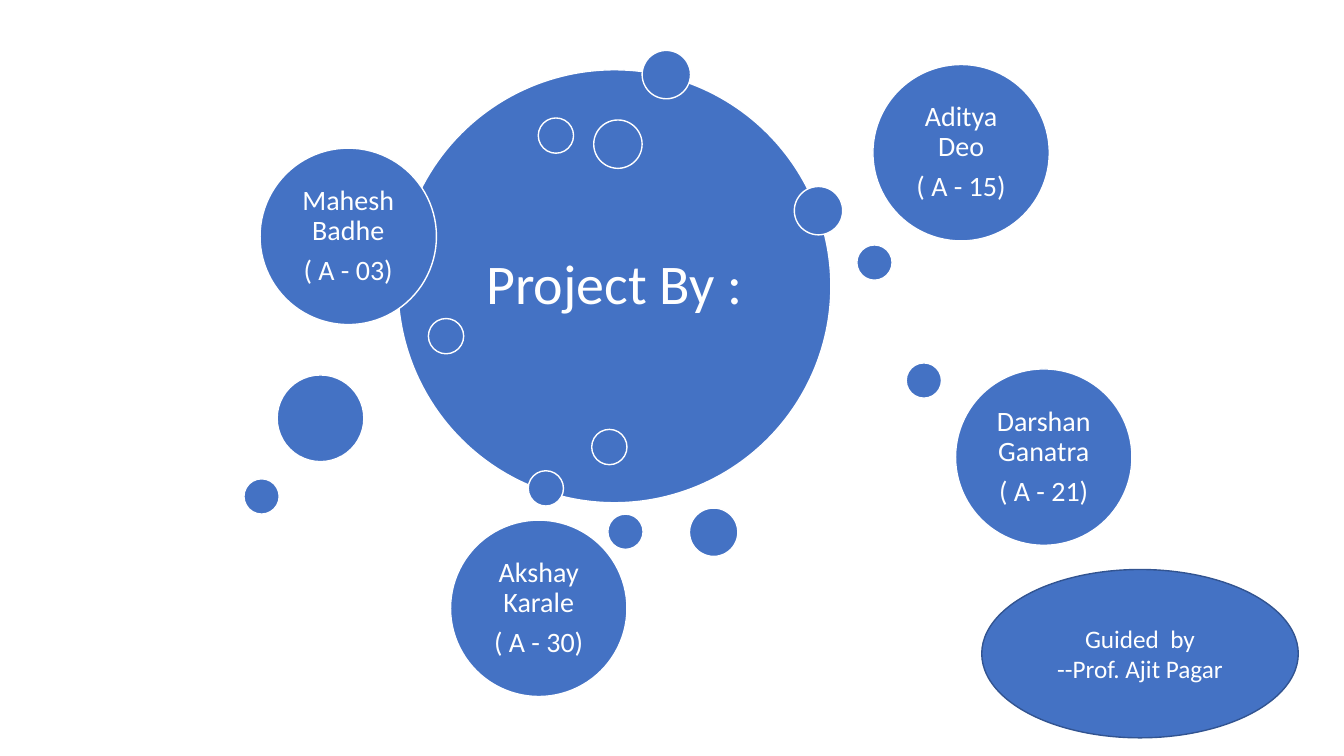
import pptx
import pptx.dml.color
import pptx.enum.shapes
import pptx.enum.text
import pptx.util

COLUMNS, ROWS = 160, 90
FONT = "Calibri"
BLUE, NAVY, WHITE = "4472C4", "325491", "FFFFFF"

HUB = (73.14, 34.08)
HUB_SIZE = 51.54
MEMBER_SIZE = 21
MEMBERS = [
    ("Mahesh Badhe", "( A - 03)", (41.46, 28.14)),
    ("Aditya Deo", "( A - 15)", (114.42, 18.18)),
    ("Darshan Ganatra", "( A - 21)", (124.26, 54.42)),
    ("Akshay Karale", "( A - 30)", (64.14, 72.42)),
]
# Dot diameter and the centres that use it, in grid cells
DOTS = {
    4.2: [(64.98, 58.14), (104.1, 31.26), (66.18, 16.14), (53.1, 40.02),
          (31.14, 59.1), (72.54, 53.22), (109.98, 45.3), (74.46, 63.3)],
    5.76: [(79.32, 8.88), (84.96, 63.36), (73.56, 17.16), (97.44, 25.08)],
    10.32: [(38.16, 49.8)],
}


def color(value):
    return pptx.dml.color.RGBColor.from_string(value)


def centered(box, center, width, height):
    """Turn a centre and size in grid cells into a place inside the box."""
    left, top, box_width, box_height = box
    column, row = box_width / COLUMNS, box_height / ROWS
    return [round(length) for length in (
        left + (center[0] - width / 2) * column,
        top + (center[1] - height / 2) * row,
        width * column,
        height * row,
    )]


def write(shape, lines, size, inset, line_spacing=1.0, space_after=0):
    frame = shape.text_frame
    frame.word_wrap = True
    frame.auto_size = pptx.enum.text.MSO_AUTO_SIZE.NONE
    frame.vertical_anchor = pptx.enum.text.MSO_ANCHOR.MIDDLE
    frame.margin_left = frame.margin_right = pptx.util.Inches(inset)
    frame.margin_top = frame.margin_bottom = pptx.util.Inches(inset)
    frame.text = "\n".join(lines)
    for para in frame.paragraphs:
        para.alignment = pptx.enum.text.PP_ALIGN.CENTER
        para.line_spacing = line_spacing
        para.space_after = pptx.util.Pt(space_after)
        para.font.name = FONT
        para.font.size = pptx.util.Pt(size)
        para.font.color.rgb = color(WHITE)


def add_ellipse(page, place, outline=WHITE):
    ellipse = page.shapes.add_shape(pptx.enum.shapes.MSO_SHAPE.OVAL, *place)
    ellipse.shadow.inherit = False
    ellipse.fill.solid()
    ellipse.fill.fore_color.rgb = color(BLUE)
    ellipse.line.color.rgb = color(outline)
    ellipse.line.width = pptx.util.Pt(1)
    return ellipse


def add_hub(page, box):
    add_ellipse(page, centered(box, HUB, HUB_SIZE, HUB_SIZE))
    title = page.shapes.title
    title.left, title.top, title.width, title.height = centered(box, HUB, 36.5, 36.5)
    write(title, ["Project By :"], 40, 0.17, 0.9)
    # The title placeholder starts behind the hub; bring it to the front
    page.shapes.element.append(title.element)


def add_dots(page, box):
    for size, centers in DOTS.items():
        for center in centers:
            add_ellipse(page, centered(box, center, size, size))


def add_members(page, box):
    for name, roll_number, center in MEMBERS:
        member = add_ellipse(page, centered(box, center, MEMBER_SIZE, MEMBER_SIZE))
        write(member, [name, roll_number], 20, 0.08, 0.9, 7)


def add_guide(page, box):
    guide = add_ellipse(page, centered(box, (135.72, 77.82), 37.68, 20.04), NAVY)
    write(guide, ["Guided  by", "--Prof. Ajit Pagar"], 18, 0.05)


def main():
    deck = pptx.Presentation()
    deck.slide_width = pptx.util.Inches(13.33)
    deck.slide_height = pptx.util.Inches(7.5)
    page = deck.slides.add_slide(deck.slide_layouts.get_by_name("Title Only"))
    box = (0, 0, deck.slide_width, deck.slide_height)
    for add_region in (add_hub, add_dots, add_members, add_guide):
        add_region(page, box)
    deck.save("out.pptx")


if __name__ == "__main__":
    main()
